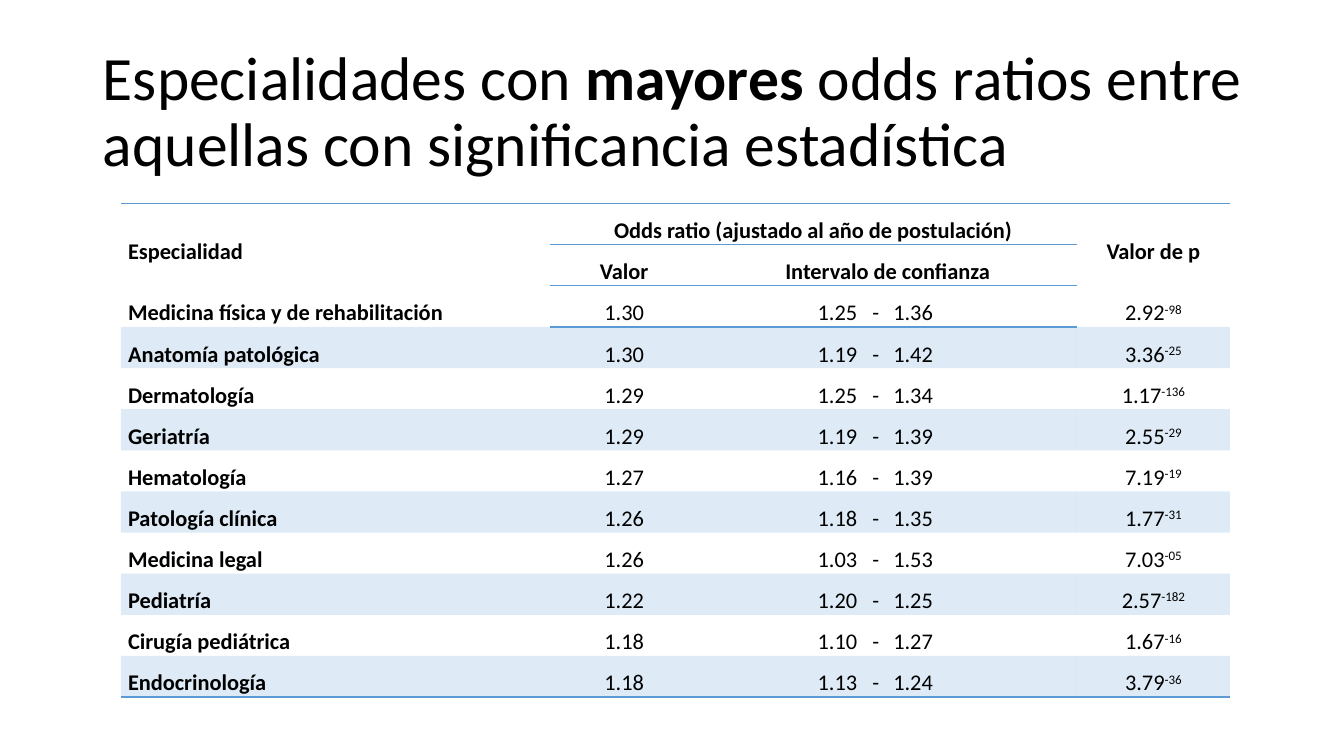
from dataclasses import dataclass

from pptx import Presentation
from pptx.dml.color import RGBColor
from pptx.enum.text import MSO_ANCHOR as Anchor, MSO_AUTO_SIZE as AutoSize, PP_ALIGN as Align
from pptx.oxml.ns import qn
from pptx.oxml.xmlchemy import OxmlElement
from pptx.util import Inches, Pt


@dataclass(frozen=True)
class Theme:
    font: str = "Calibri"
    text: str = "000000"
    accent: str = "5B9BD5"
    light: str = "FFFFFF"
    tint: int = 20
    title_size: int = 44
    table_size: int = 16
    rule_width: int = 1
    plain_table: str = "{2D5ABB26-0587-4C30-8999-92F81FD0307C}"


COLUMN_WIDTHS = [4.25, 1.48, 1.86, 1.89, 1.52]
ROW_HEIGHT = 0.38
WIDE_SPACE = {"spc": "720"}
SUPERSCRIPT = {"baseline": "30000"}

HEADERS = [
    (0, 0, 1, 0, "Especialidad", Align.LEFT),
    (0, 1, 0, 3, "Odds ratio (ajustado al año de postulación)", Align.CENTER),
    (0, 4, 1, 4, "Valor de p", Align.CENTER),
    (1, 1, 1, 1, "Valor", Align.CENTER),
    (1, 2, 1, 3, "Intervalo de confianza", Align.CENTER),
]

SPECIALTIES = [
    ("Medicina física y de rehabilitación", "1.30", "1.25", "1.36", "2.92", "-98"),
    ("Anatomía patológica", "1.30", "1.19", "1.42", "3.36", "-25"),
    ("Dermatología", "1.29", "1.25", "1.34", "1.17", "-136"),
    ("Geriatría", "1.29", "1.19", "1.39", "2.55", "-29"),
    ("Hematología", "1.27", "1.16", "1.39", "7.19", "-19"),
    ("Patología clínica", "1.26", "1.18", "1.35", "1.77", "-31"),
    ("Medicina legal", "1.26", "1.03", "1.53", "7.03", "-05"),
    ("Pediatría", "1.22", "1.20", "1.25", "2.57", "-182"),
    ("Cirugía pediátrica", "1.18", "1.10", "1.27", "1.67", "-16"),
    ("Endocrinología", "1.18", "1.13", "1.24", "3.79", "-36"),
]


class SlideBuilder:
    def __init__(self, presentation, theme):
        self.theme = theme
        self.slide = presentation.slides.add_slide(presentation.slide_layouts[5])

    def add_runs(self, paragraph, parts, size, align):
        paragraph.alignment = align
        for text, bold, attributes in parts:
            run = paragraph.add_run()
            run.text = text
            run.font.name = self.theme.font
            run.font.size = Pt(size)
            run.font.bold = bold
            run.font.color.rgb = RGBColor.from_string(self.theme.text)
            for name, value in attributes.items():
                run._r.get_or_add_rPr().set(name, value)

    def title(self, parts, left, top, width, height):
        shape = self.slide.shapes.title
        shape.left, shape.top = Inches(left), Inches(top)
        shape.width, shape.height = Inches(width), Inches(height)
        frame = shape.text_frame
        frame.word_wrap = True
        frame.auto_size = AutoSize.NONE
        frame.vertical_anchor = Anchor.MIDDLE
        paragraph = frame.paragraphs[0]
        paragraph.line_spacing = 0.9
        self.add_runs(paragraph, parts, self.theme.title_size, Align.LEFT)

    def table(self, row_count, widths, row_height, left, top):
        frame = self.slide.shapes.add_table(
            row_count, len(widths), Inches(left), Inches(top),
            Inches(sum(widths)), Inches(row_count * row_height))
        table = frame.table
        table.first_row = table.horz_banding = False
        table._tbl.tblPr.find(qn("a:tableStyleId")).text = self.theme.plain_table
        for column, width in zip(table.columns, widths):
            column.width = Inches(width)
        for row in table.rows:
            row.height = Inches(row_height)
        return table

    def cell_text(self, cell, parts, align):
        cell.vertical_anchor = Anchor.MIDDLE
        cell.margin_left = cell.margin_right = Inches(0.07)
        cell.margin_top = cell.margin_bottom = 0
        paragraph = cell.text_frame.paragraphs[0]
        paragraph.line_spacing = 1.5
        paragraph.space_after = Pt(14)
        self.add_runs(paragraph, parts, self.theme.table_size, align)

    def rule(self, cell, tag):
        line = OxmlElement(tag)
        line.set("w", str(Pt(self.theme.rule_width)))
        fill = OxmlElement("a:solidFill")
        color = OxmlElement("a:srgbClr")
        color.set("val", self.theme.accent)
        fill.append(color)
        line.append(fill)
        cell._tc.get_or_add_tcPr().append(line)

    def tint(self, cell, color):
        cell.fill.solid()
        cell.fill.fore_color.rgb = RGBColor.from_string(color)
        alpha = OxmlElement("a:alpha")
        alpha.set("val", str(self.theme.tint * 1000))
        cell._tc.tcPr.find(qn("a:solidFill"))[0].append(alpha)

    def style_cell(self, cell, row, column, last_row):
        inner = 1 <= column <= 3
        if row == 0:
            self.rule(cell, "a:lnT")
        if row in (1, last_row) or (row in (0, 2) and inner):
            self.rule(cell, "a:lnB")
        if row >= 3 and row % 2:
            self.tint(cell, self.theme.accent)
        elif row == 1 and inner:
            self.tint(cell, self.theme.light)
        else:
            cell.fill.background()


def specialty_cells(name, odds, low, high, p_value, exponent):
    return [
        ([(name, True, {})], Align.LEFT),
        ([(odds, False, {})], Align.CENTER),
        ([(low, False, {}), (" ", False, WIDE_SPACE), ("-", False, {})], Align.RIGHT),
        ([(high, False, {})], Align.LEFT),
        ([(p_value, False, {}), (exponent, False, SUPERSCRIPT)], Align.CENTER),
    ]


def main():
    presentation = Presentation()
    presentation.slide_width = Inches(13.33)
    presentation.slide_height = Inches(7.5)
    builder = SlideBuilder(presentation, Theme())
    builder.title([
        ("Especialidades con ", False, {}),
        ("mayores ", True, {}),
        ("odds ratios entre aquellas con significancia estadística", False, {}),
    ], 0.92, 0.4, 11.5, 1.45)

    row_count = len(SPECIALTIES) + 2
    table = builder.table(row_count, COLUMN_WIDTHS, ROW_HEIGHT, 1.2, 2.02)
    for row in range(row_count):
        for column in range(len(COLUMN_WIDTHS)):
            builder.style_cell(table.cell(row, column), row, column, row_count - 1)
    for top, left, bottom, right, label, align in HEADERS:
        cell = table.cell(top, left)
        if (top, left) != (bottom, right):
            cell.merge(table.cell(bottom, right))
        builder.cell_text(cell, [(label, True, {})], align)
    for row, specialty in enumerate(SPECIALTIES, start=2):
        for column, (parts, align) in enumerate(specialty_cells(*specialty)):
            builder.cell_text(table.cell(row, column), parts, align)

    presentation.save("out.pptx")


if __name__ == "__main__":
    main()
